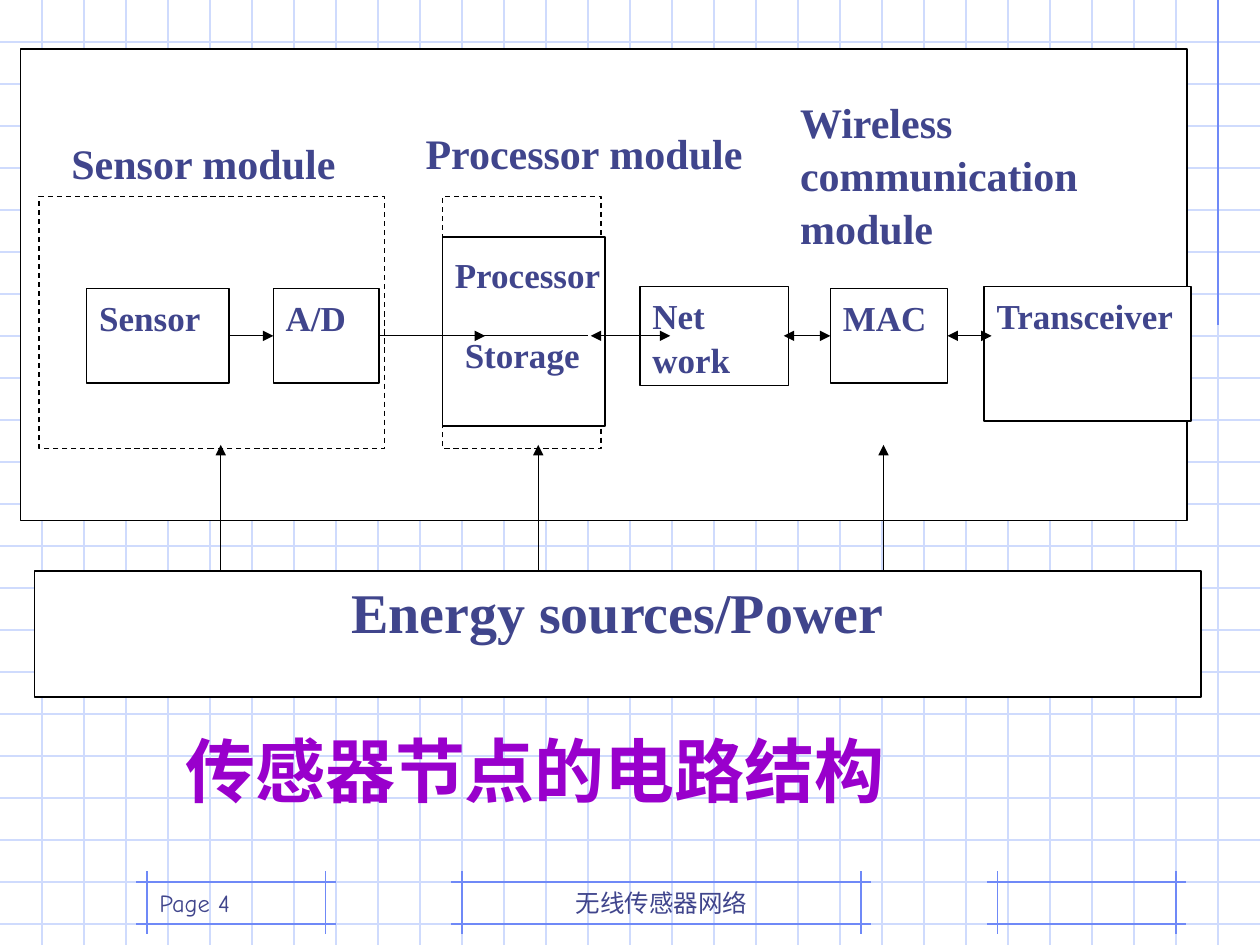
import lxml.etree
import pptx
import pptx.dml.color
import pptx.enum.dml
import pptx.enum.shapes
import pptx.enum.text
import pptx.oxml.ns
import pptx.util

Cm = pptx.util.Cm
ALIGN = pptx.enum.text.PP_ALIGN
ANCHOR = pptx.enum.text.MSO_ANCHOR
GRID = 25.4 / 30
BLACK, WHITE, NAVY, PURPLE = "000000", "FFFFFF", "40458C", "9900CC"
PALE, BLUE = "CFDBFD", "6F89F7"
SERIF, HAND, SANS = "Times New Roman", "Comic Neue", "Karla"


def rgb(color):
    return pptx.dml.color.RGBColor.from_string(color)


def write(shape, text, size, font=SERIF, color=NAVY, bold=True,
          align=ALIGN.JUSTIFY, anchor=ANCHOR.TOP, spacing=None):
    tf = shape.text_frame
    tf.text = text
    tf.word_wrap = True
    tf.vertical_anchor = anchor
    for p in tf.paragraphs:
        p.alignment = align
        p.line_spacing = spacing
        for r in p.runs:
            r.font.name, r.font.size = font, pptx.util.Pt(size)
            r.font.bold = bold
            r.font.color.rgb = rgb(color)


def add_text(s, x, y, w, h, text, size, **style):
    box = s.shapes.add_textbox(Cm(x), Cm(y), Cm(w), Cm(h))
    write(box, text, size, **style)


def add_box(s, x, y, w, h, dashed=False):
    sp = s.shapes.add_shape(pptx.enum.shapes.MSO_SHAPE.RECTANGLE,
                            Cm(x), Cm(y), Cm(w), Cm(h))
    sp.shadow.inherit = False
    sp.fill.solid()
    sp.fill.fore_color.rgb = rgb(WHITE)
    sp.line.color.rgb = rgb(BLACK)
    sp.line.width = pptx.util.Pt(0.75)
    if dashed:
        sp.line.dash_style = pptx.enum.dml.MSO_LINE.DASH
    return sp


def add_line(s, x1, y1, x2, y2, color=BLACK, ends=()):
    """Draw a line; ends names its arrowheads, headEnd before tailEnd."""
    line = s.shapes.add_connector(pptx.enum.shapes.MSO_CONNECTOR.STRAIGHT,
                                  Cm(x1), Cm(y1), Cm(x2), Cm(y2))
    line.line.color.rgb = rgb(color)
    line.line.width = pptx.util.Pt(0.75)
    qn = pptx.oxml.ns.qn
    sppr = line.element.spPr
    for end in ends:
        lxml.etree.SubElement(sppr.find(qn("a:ln")), qn("a:" + end), type="triangle")
    lxml.etree.SubElement(sppr, qn("a:effectLst"))
    return line


def add_grid(s, w, h):
    for row in range(1, 23):
        add_line(s, 0, row * GRID, w, row * GRID, PALE)
    for col in range(1, 30):
        add_line(s, col * GRID, 0, col * GRID, h, PALE)
    add_line(s, 29 * GRID, 0, 29 * GRID, 7.75 * GRID, BLUE)


def add_footer_frame(s, x, y, w, h):
    """Draw four lines that cross beyond the corners of the box."""
    over = GRID / 4
    for edge in (y, y + h):
        add_line(s, x - over, edge, x + w + over, edge, BLUE)
    for edge in (x, x + w):
        add_line(s, edge, y - over, edge, y + h + over, BLUE)


def add_footer(s, y):
    for left, right in ((11, 20.5), (23.75, 28), (3.5, 7.75)):
        add_footer_frame(s, left * GRID, y, (right - left) * GRID, GRID)
    style = dict(size=14, font=HAND, bold=False, anchor=ANCHOR.BOTTOM)
    top, height = y - GRID / 2, 1.5 * GRID
    add_text(s, 11 * GRID, top, 9.5 * GRID, height, "无线传感器网络",
             align=ALIGN.CENTER, **style)
    add_text(s, 3.5 * GRID, top, 6.25 * GRID, height, "Page 4",
             align=ALIGN.LEFT, **style)


def add_circuit(s, x, y, w, h):
    add_box(s, x, y, w, h)
    power_y = y + 10.52
    power = add_box(s, x + 0.28, power_y, w, 2.54)
    write(power, "Energy sources/Power", 32, align=ALIGN.CENTER)

    for dx, width in ((0.38, 6.96), (8.51, 3.2)):
        add_box(s, x + dx, y + 2.97, width, 5.08, dashed=True)
    for dx, dy, width, height, label in (
            (0.78, 1.6, 6.58, 1.55, "Sensor module"),
            (7.92, 1.4, 7.11, 1.37, "Processor module"),
            (15.47, 0.79, 7.54, 3.58, "Wireless communication module")):
        add_text(s, x + dx, y + dy, width, height, label, 24, spacing=1.05)

    add_box(s, x + 8.51, y + 3.79, 3.28, 3.81)
    add_line(s, x + 9.32, y + 5.77, x + 11.45, y + 5.77)
    for dx, dy, width, label in ((8.51, 3.96, 3.73, "Processor"),
                                 (8.71, 5.56, 3.2, "Storage")):
        add_text(s, x + dx, y + dy, width, 1.9, label, 20, spacing=1.05)

    blocks = {}
    for dx, dy, width, height, label in (
            (1.34, 4.83, 2.87, 1.9, "Sensor"),
            (5.1, 4.83, 2.13, 1.9, "A/D"),
            (12.49, 4.78, 3, 2.01, "Net\nwork"),
            (16.33, 4.83, 2.36, 1.9, "MAC"),
            (19.43, 4.78, 4.17, 2.72, "Transceiver")):
        blocks[label] = add_box(s, x + dx, y + dy, width, height)
        write(blocks[label], label, 20, spacing=1.05)

    for dx in (4.04, 10.44, 17.4):
        add_line(s, x + dx, power_y, x + dx, power_y - 2.54, ends=["tailEnd"])

    one_way, two_way = ["tailEnd"], ["headEnd", "tailEnd"]
    for start, stop, ends, source, target in (
            (4.21, 5.1, one_way, "Sensor", "A/D"),
            (7.23, 9.37, one_way, "A/D", None),
            (11.5, 13.1, two_way, None, None),
            (15.39, 16.33, two_way, None, "MAC"),
            (18.69, 19.58, two_way, "MAC", None)):
        flow = add_line(s, x + start, y + 5.78, x + stop, y + 5.78, ends=ends)
        if source:
            flow.begin_connect(blocks[source], 3)
        if target:
            flow.end_connect(blocks[target], 1)


def place_title(s, x, y, w, h, text):
    title = s.shapes.title
    title.left, title.top, title.width, title.height = Cm(x), Cm(y), Cm(w), Cm(h)
    write(title, text, 40, font=SANS, color=PURPLE, align=ALIGN.LEFT)
    title.text_frame.auto_size = pptx.enum.text.MSO_AUTO_SIZE.SHAPE_TO_FIT_TEXT
    s.shapes.element.append(title.element)  # in front of the grid


def main():
    prs = pptx.Presentation()
    prs.slide_width, prs.slide_height = Cm(25.4), Cm(19.05)
    s = prs.slides.add_slide(prs.slide_layouts[5])
    add_grid(s, 25.4, 19.05)
    add_footer(s, 21 * GRID)
    add_circuit(s, 0.41, 0.99, 23.52, 9.5)
    place_title(s, 3.48, 14.53, 16.81, 1.96, "传感器节点的电路结构")
    prs.save("out.pptx")


if __name__ == "__main__":
    main()
